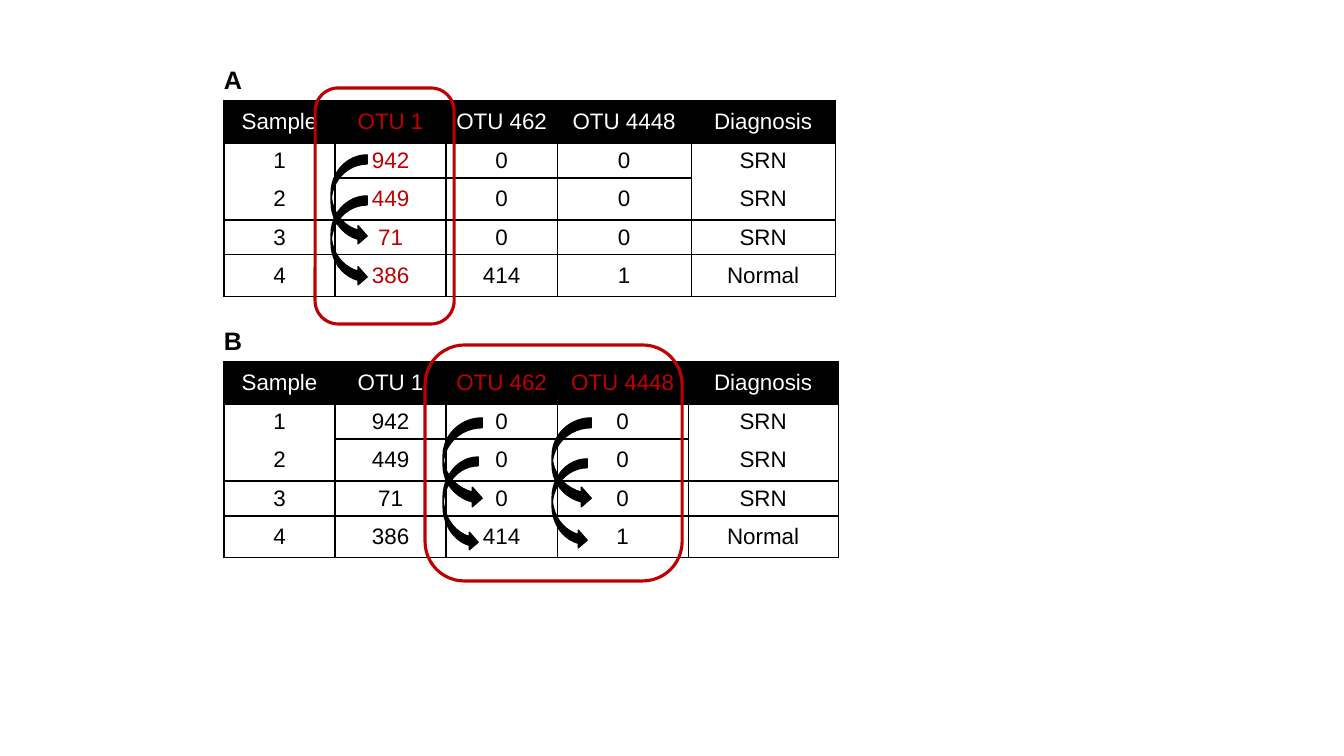
from dataclasses import dataclass

from pptx import Presentation
from pptx.dml.color import RGBColor
from pptx.enum.shapes import MSO_SHAPE as Preset
from pptx.enum.text import MSO_ANCHOR as Anchor, PP_ALIGN as Align
from pptx.oxml import parse_xml
from pptx.oxml.ns import nsdecls
from pptx.util import Emu, Inches, Pt

EMU_PER_PIXEL = 914400 / 100.8


@dataclass(frozen=True)
class Theme:
    font: str = "Arial"
    ink: str = "000000"
    paper: str = "FFFFFF"
    accent: str = "C00000"
    cell_size: int = 16
    label_size: int = 18
    rule: float = 1
    frame: float = 2.25
    text_outline: float = 0.75


THEME = Theme()
HEADER = ["Sample", "OTU 1", "OTU 462", "OTU 4448", "Diagnosis"]
SAMPLES = [
    ["1", "942", "0", "0", "SRN"],
    ["2", "449", "0", "0", "SRN"],
    ["3", "71", "0", "0", "SRN"],
    ["4", "386", "414", "1", "Normal"],
]
ROW_HEIGHTS = [42, 35, 42, 35, 42]
OPEN_COLUMNS = {0, 4}
TABLE_LEFT = 224


def px(length):
    return Emu(round(length * EMU_PER_PIXEL))


def box(*lengths):
    return [px(length) for length in lengths]


def color(value):
    return RGBColor.from_string(value)


def line_xml(tag, value, points):
    paint = f'<a:solidFill><a:srgbClr val="{value}"/></a:solidFill>' if points else "<a:noFill/>"
    return parse_xml(f'<a:{tag} {nsdecls("a")} w="{Pt(points)}">{paint}</a:{tag}>')


def add_run(paragraph, text, size, value, bold=False, outlined=False):
    run = paragraph.add_run()
    run.text = text
    run.font.name = THEME.font
    run.font.size = Pt(size)
    run.font.bold = bold
    run.font.color.rgb = color(value)
    if outlined:
        run.font._element.insert(0, line_xml("ln", value, THEME.text_outline))


def set_borders(cell, row, column):
    open_top = row == 2 and column in OPEN_COLUMNS
    open_bottom = row == 1 and column in OPEN_COLUMNS
    sides = {"lnL": True, "lnR": True, "lnT": not open_top, "lnB": not open_bottom}
    properties = cell._tc.get_or_add_tcPr()
    for index, (tag, shown) in enumerate(sides.items()):
        properties.insert(index, line_xml(tag, THEME.ink, THEME.rule if shown else 0))


def format_cell(cell, text, row, column, value, outlined):
    cell.margin_top = cell.margin_bottom = 0
    cell.margin_left = cell.margin_right = px(5)
    cell.vertical_anchor = Anchor.MIDDLE
    if row == 0:
        cell.fill.solid()
        cell.fill.fore_color.rgb = color(THEME.ink)
    else:
        cell.fill.background()
    set_borders(cell, row, column)
    paragraph = cell.text_frame.paragraphs[0]
    paragraph.alignment = Align.CENTER
    add_run(paragraph, text, THEME.cell_size, value, outlined=outlined)


def add_sample_table(slide, top, widths, is_accent):
    rows = [HEADER, *SAMPLES]
    frame = slide.shapes.add_table(
        len(rows), len(HEADER), *box(TABLE_LEFT, top, sum(widths), sum(ROW_HEIGHTS))
    )
    table = frame.table
    table.first_row = table.horz_banding = False
    for column, width in zip(table.columns, widths):
        column.width = px(width)
    for row, height in zip(table.rows, ROW_HEIGHTS):
        row.height = px(height)
    for row, texts in enumerate(rows):
        for column, text in enumerate(texts):
            accented = is_accent(row, column)
            plain = THEME.ink if row else THEME.paper
            value = THEME.accent if accented else plain
            format_cell(table.cell(row, column), text, row, column, value, accented)


def add_swap_arrow(slide, *place):
    shape = slide.shapes.add_shape(Preset.CURVED_RIGHT_ARROW, *box(*place))
    shape.shadow.inherit = False
    shape.fill.solid()
    shape.fill.fore_color.rgb = color(THEME.ink)
    shape.line.color.rgb = color(THEME.ink)
    shape.line.width = Pt(THEME.rule)


def add_highlight(slide, *place):
    shape = slide.shapes.add_shape(Preset.ROUNDED_RECTANGLE, *box(*place))
    shape.shadow.inherit = False
    shape.fill.background()
    shape.line.color.rgb = color(THEME.accent)
    shape.line.width = Pt(THEME.frame)


def add_label(slide, text, top):
    shape = slide.shapes.add_textbox(*box(214, top, 54, 40))
    shape.text_frame.word_wrap = True
    add_run(shape.text_frame.paragraphs[0], text, THEME.label_size, THEME.ink, bold=True)


def main():
    presentation = Presentation()
    presentation.slide_width = Inches(13.33)
    presentation.slide_height = Inches(7.5)
    slide = presentation.slides.add_slide(presentation.slide_layouts[6])

    add_sample_table(slide, 101, [111, 111, 111, 134, 144], lambda row, column: column == 1)
    for top in (155, 196):
        add_swap_arrow(slide, 331, top, 36, 90)

    add_sample_table(
        slide, 362, [111, 111, 111, 131, 150], lambda row, column: row == 0 and column in (2, 3)
    )
    add_highlight(slide, 315, 88, 139, 236)
    add_swap_arrow(slide, 443, 457, 35, 94)
    add_swap_arrow(slide, 552, 459, 35, 90)
    for left in (443, 552):
        add_swap_arrow(slide, left, 418, 39, 90)
    add_highlight(slide, 425, 345, 257, 236)

    for text, top in (("A", 59), ("B", 320)):
        add_label(slide, text, top)
    presentation.save("out.pptx")


main()
